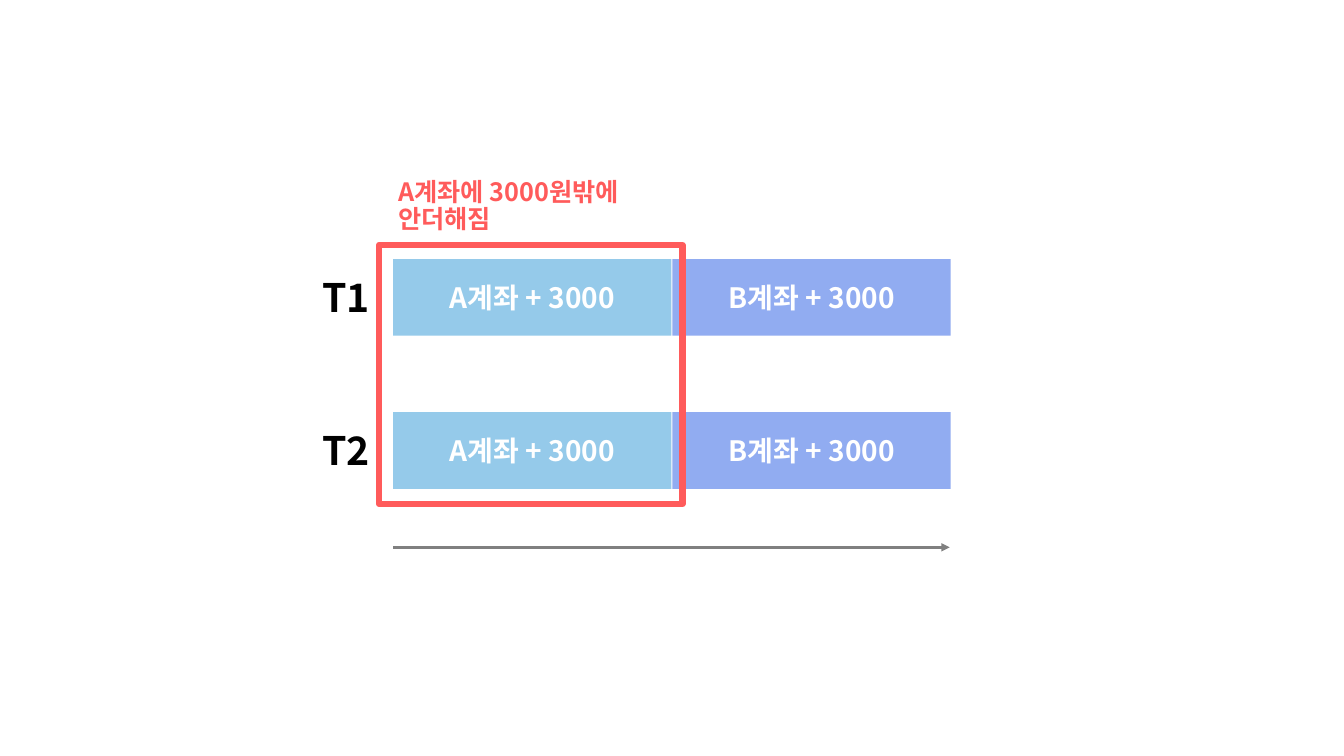
from dataclasses import dataclass

from lxml.etree import SubElement
from pptx import Presentation
from pptx.dml.color import RGBColor
from pptx.enum.shapes import MSO_CONNECTOR, MSO_SHAPE
from pptx.enum.text import MSO_ANCHOR, PP_ALIGN
from pptx.oxml.ns import qn
from pptx.util import Inches, Pt


@dataclass(frozen=True)
class Theme:
    font: str = "Noto Sans CJK KR"
    account_a: str = "95CAEA"
    account_b: str = "91ACF1"
    warning: str = "FF5B5B"
    axis: str = "808080"
    dark: str = "000000"
    light: str = "FFFFFF"
    step_size: int = 20
    label_size: int = 28
    warning_size: int = 18


THEME = Theme()
STEPS = [("A계좌 + 3000", THEME.account_a), ("B계좌 + 3000", THEME.account_b)]
STEP_WIDTH, STEP_HEIGHT = 2.76, 0.76
LABEL_WIDTH = 0.8


def color(value):
    return RGBColor.from_string(value)


def write_lines(shape, lines, size, text_color, alignment, line_spacing=None):
    frame = shape.text_frame
    frame.word_wrap = True
    frame.vertical_anchor = MSO_ANCHOR.MIDDLE
    for index, line in enumerate(lines):
        paragraph = frame.paragraphs[0] if index == 0 else frame.add_paragraph()
        paragraph.alignment = alignment
        paragraph.line_spacing = line_spacing
        run = paragraph.add_run()
        run.text = line
        run.font.name = THEME.font
        run.font.size = Pt(size)
        run.font.bold = True
        run.font.color.rgb = color(text_color)
        east_asian = SubElement(run.font._element, qn("a:ea"))
        east_asian.set("typeface", THEME.font)


def add_label(slide, left, top, width, lines, size, text_color):
    label = slide.shapes.add_textbox(
        Inches(left), Inches(top), Inches(width), Inches(STEP_HEIGHT))
    write_lines(label, lines, size, text_color, PP_ALIGN.LEFT, 0.9)


def add_rectangle(slide, left, top, width, height):
    rectangle = slide.shapes.add_shape(
        MSO_SHAPE.RECTANGLE, Inches(left), Inches(top), Inches(width), Inches(height))
    rectangle.shadow.inherit = False
    return rectangle


def add_transaction(slide, name, left, top):
    """Place the steps side by side from left, with the name before them."""
    add_label(slide, left - LABEL_WIDTH, top + 0.02, LABEL_WIDTH, [name],
              THEME.label_size, THEME.dark)
    for column, (text, fill) in enumerate(STEPS):
        step = add_rectangle(slide, left + column * (STEP_WIDTH + 0.01), top,
                             STEP_WIDTH, STEP_HEIGHT)
        step.fill.solid()
        step.fill.fore_color.rgb = color(fill)
        step.line.fill.background()
        write_lines(step, [text], THEME.step_size, THEME.light, PP_ALIGN.CENTER)


def add_conflict(slide, left, top, width, height):
    """Frame the conflicting steps and put the warning above the frame."""
    frame = add_rectangle(slide, left, top, width, height)
    frame.fill.background()
    frame.line.color.rgb = color(THEME.warning)
    frame.line.width = Pt(4.5)
    add_label(slide, left + 0.09, top - STEP_HEIGHT, 2.93,
              ["A계좌에 3000원밖에", "안더해짐"], THEME.warning_size, THEME.warning)


def add_time_arrow(slide, left, top, width):
    arrow = slide.shapes.add_connector(
        MSO_CONNECTOR.STRAIGHT, Inches(left), Inches(top),
        Inches(left + width), Inches(top))
    arrow.line.color.rgb = color(THEME.axis)
    arrow.line.width = Pt(2)
    SubElement(arrow.line._get_or_add_ln(), qn("a:tailEnd")).set("type", "triangle")
    SubElement(arrow._element.spPr, qn("a:effectLst"))


def main():
    presentation = Presentation()
    presentation.slide_width = Inches(13.33)
    presentation.slide_height = Inches(7.5)
    slide = presentation.slides.add_slide(presentation.slide_layouts[6])
    left, top, row_pitch = 3.9, 2.57, 1.52
    for row, name in enumerate(["T1", "T2"]):
        add_transaction(slide, name, left, top + row * row_pitch)
    add_conflict(slide, left - 0.14, top - 0.14, 3.01, 2.57)
    add_time_arrow(slide, left, 5.43, 2 * STEP_WIDTH)
    presentation.save("out.pptx")


if __name__ == "__main__":
    main()
